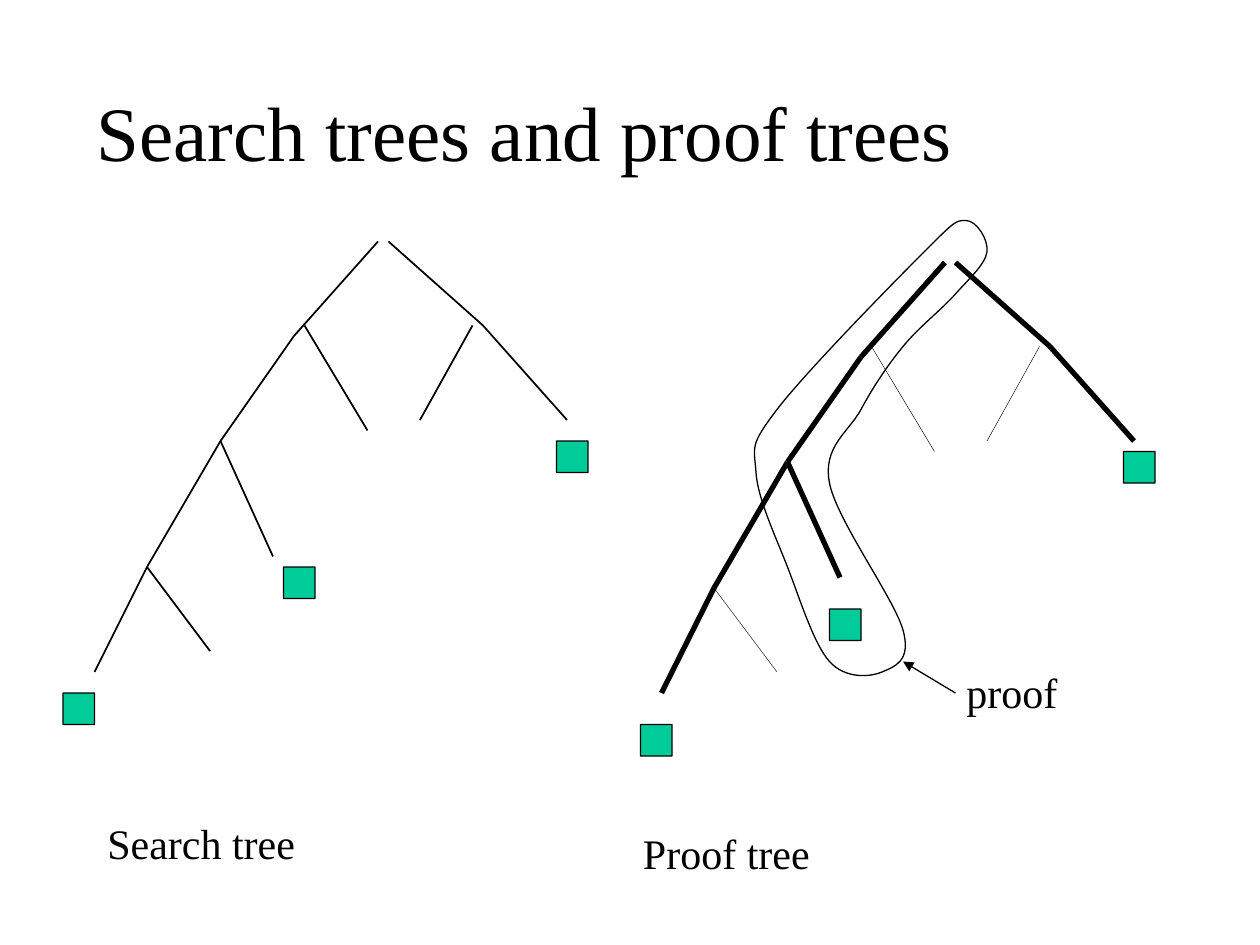
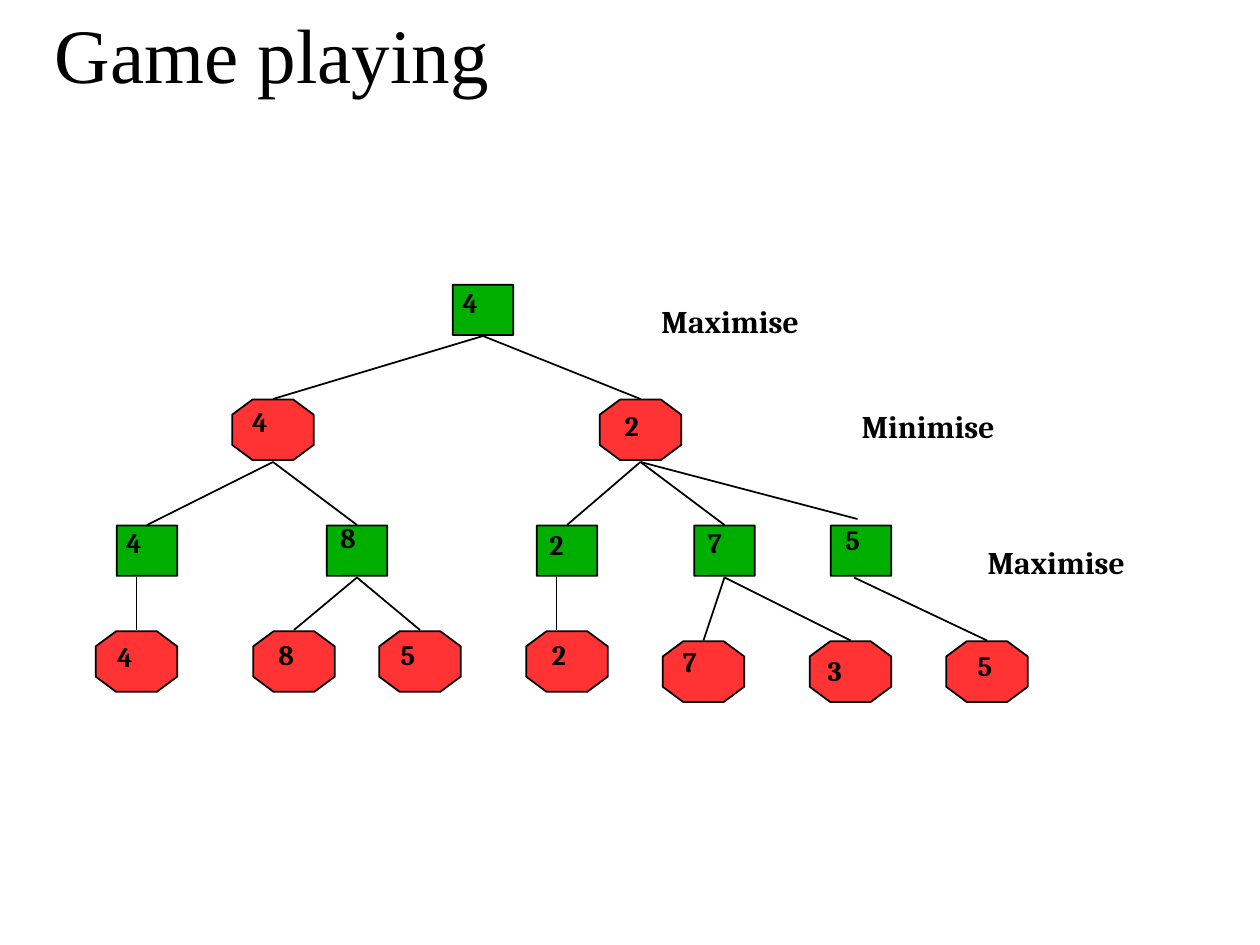
from dataclasses import dataclass
from lxml.etree import SubElement
from pptx import Presentation
from pptx.dml.color import RGBColor
from pptx.enum.shapes import MSO_CONNECTOR, MSO_SHAPE
from pptx.enum.text import MSO_ANCHOR
from pptx.oxml.ns import qn
from pptx.util import Pt


@dataclass(frozen=True)
class Theme:
    ink: str = "000000"
    goal: str = "00CC99"
    maximise: str = "00AE00"
    minimise: str = "FF3333"
    serif: str = "Times New Roman"
    label: str = "Cambria"
    title_size: int = 44
    caption_size: int = 24
    level_size: int = 18
    value_size: int = 16
    hairline: float = 0.25
    outline: float = 0.75
    branch: float = 1
    proof_branch: float = 3


theme = Theme()
PAGE_SIZE = (720, 540)

# Text styles
TITLE = dict(name=theme.serif, size=theme.title_size, spacing=0.85)
CAPTION = dict(name=theme.serif, size=theme.caption_size, spacing=0.85)
LEVEL = dict(name=theme.label, size=theme.level_size, spacing=0.51, bold=True)
VALUE = dict(name=theme.label, size=theme.value_size, spacing=0.51, bold=True)

# Search trees: (start, end, leads to a goal)
BRANCHES = [
    ((216, 138), (168, 192), True),
    ((168, 192), (126, 252), True),
    ((174, 186), (210, 246), False),
    ((222, 138), (276, 186), True),
    ((270, 186), (240, 240), False),
    ((276, 186), (324, 240), True),
    ((126, 252), (84, 324), True),
    ((126, 252), (156, 318), True),
    ((84, 324), (54, 384), True),
    ((84, 324), (120, 372), False),
]
PROOF_SHIFT = (324, 12)
GOAL_SIZE = 18
GOALS = [(36, 396), (162, 324), (318, 252), (642, 258), (474, 348), (366, 414)]
TREE_CAPTIONS = [
    ("proof", (550.8, 381.6, 66, 36)),
    ("Search tree", (60, 468, 222, 36)),
    ("Proof tree", (366, 474, 240, 36)),
]
PROOF_ARROW = ((546, 396), (516, 378))

# Start point, then two control points and an end point for each curve
PROOF_OUTLINE = [
    (528, 144),
    (510, 162), (460, 213), (444, 234),
    (428, 255), (431, 255), (432, 270),
    (433, 285), (443, 306), (450, 324),
    (457, 342), (465, 368), (474, 378),
    (483, 388), (497, 387), (504, 384),
    (511, 381), (521, 378), (516, 360),
    (511, 342), (478, 297), (474, 276),
    (470, 255), (485, 247), (492, 234),
    (499, 221), (507, 209), (516, 198),
    (525, 187), (538, 177), (546, 168),
    (554, 159), (563, 151), (564, 144),
    (565, 137), (558, 126), (552, 126),
    (546, 126), (546, 126), (528, 144),
]

# Game tree: (value, node centre, node top, value left, value top)
MAX_SIZE = (34.6, 28.8)
MIN_SIZE = (46.6, 34.6)
VALUE_SIZE = (22.3, 26.6)
MAX_NODES = [
    ("4", 276, 162.7, 262.8, 162.7),
    ("4", 84, 300.3, 70.6, 300.2),
    ("8", 204, 300.3, 193, 297.4),
    ("2", 324, 300.3, 312.5, 301),
    ("7", 414, 300.3, 403.2, 300.2),
    ("5", 492, 300.3, 481.7, 298.1),
]
MIN_NODES = [
    ("4", 156, 228.3, 142.6, 231.1),
    ("2", 366, 228.3, 355.6, 233.3),
    ("4", 78, 360.7, 65.5, 365),
    ("8", 168, 360.7, 157.7, 364.3),
    ("5", 240, 360.7, 227.5, 364.3),
    ("2", 324, 360.7, 313.9, 364.3),
    ("7", 402, 366.5, 388.8, 367.9),
    ("3", 486, 366.5, 471.6, 373),
    ("5", 564, 366.5, 557.3, 370.1),
]
MOVES = {
    (276, 192): [(156, 228), (366, 228)],
    (156, 264): [(84, 300), (204, 300)],
    (366, 264): [(324, 300), (414, 300), (490, 296.6)],
    (78, 330): [(78, 360)],
    (204, 330): [(168, 360), (240, 360)],
    (318, 330): [(318, 360)],
    (414, 330): [(402, 366), (486, 366)],
    (488, 330): [(564, 366)],
}
LEVELS = [
    ("Maximise", (376.6, 173.5, 89.3, 28.1)),
    ("Maximise", (563, 311, 89.3, 28.1)),
    ("Minimise", (491, 233.3, 85.7, 28.1)),
]


def points(values):
    return [Pt(value) for value in values]


def apply_formats(target, formats):
    for name, value in formats.items():
        setattr(target, name, value)


def add_text(page, text, bounds, style, anchor=MSO_ANCHOR.TOP, top_inset=3.6):
    box = page.shapes.add_textbox(*points(bounds))
    frame = box.text_frame
    apply_formats(frame, dict(
        word_wrap=True, vertical_anchor=anchor,
        margin_left=Pt(1.4), margin_right=Pt(1.4),
        margin_top=Pt(top_inset), margin_bottom=Pt(3.6)))
    para = frame.paragraphs[0]
    para.line_spacing = style["spacing"]
    span = para.add_run()
    span.text = text
    apply_formats(span.font, dict(
        name=style["name"], size=Pt(style["size"]), bold=style.get("bold", False)))
    span.font.color.rgb = RGBColor.from_string(theme.ink)


def paint(shape, fill, width):
    shape.shadow.inherit = False
    if fill:
        shape.fill.solid()
        shape.fill.fore_color.rgb = RGBColor.from_string(fill)
    else:
        shape.fill.background()
    shape.line.color.rgb = RGBColor.from_string(theme.ink)
    shape.line.width = Pt(width)


def add_line(page, start, end, width, arrow=False):
    line = page.shapes.add_connector(MSO_CONNECTOR.STRAIGHT, *points(start + end))
    line.line.color.rgb = RGBColor.from_string(theme.ink)
    line.line.width = Pt(width)
    if arrow:
        SubElement(line.line._get_or_add_ln(), qn("a:tailEnd"), type="triangle")
    SubElement(line._element.spPr, qn("a:effectLst"))


def add_square(page, bounds, fill, width):
    square = page.shapes.add_shape(MSO_SHAPE.ROUNDED_RECTANGLE, *points(bounds))
    square.adjustments[0] = 0.01
    paint(square, fill, width)


def add_outline(page, corners, fill, width):
    start, *rest = [points(corner) for corner in corners]
    builder = page.shapes.build_freeform(*start)
    builder.add_line_segments(rest, close=True)
    shape = builder.convert_to_shape()
    paint(shape, fill, width)
    return shape


def add_octagon(page, bounds, fill, width):
    left, top, wide, high = bounds
    corners = [(0, 0.25), (0.25, 0), (0.75, 0), (1, 0.25),
               (1, 0.75), (0.75, 1), (0.25, 1), (0, 0.75)]
    add_outline(page, [(left + x * wide, top + y * high) for x, y in corners],
                fill, width)


def add_curve(page, knots, width):
    """Turn every three straight segments into one cubic curve."""
    shape = add_outline(page, knots, None, width)
    segments = list(shape._element.iter(qn("a:lnTo")))[:len(knots) - 1]
    for first in range(0, len(segments), 3):
        lead, *others = segments[first:first + 3]
        curve = lead.makeelement(qn("a:cubicBezTo"))
        lead.addprevious(curve)
        for segment in (lead, *others):
            curve.append(segment[0])
            segment.getparent().remove(segment)


def add_nodes(page, nodes, size, draw, fill):
    for value, centre, top, value_left, value_top in nodes:
        draw(page, (centre - size[0] / 2, top, *size), fill, theme.branch)
        add_text(page, value, (value_left, value_top, *VALUE_SIZE), VALUE,
                 MSO_ANCHOR.MIDDLE)


def build_search_trees(page):
    add_text(page, "Search trees and proof trees", (54, 48, 612, 111), TITLE,
             top_inset=8.6)
    # Search tree, then the same tree with its proof branches
    for start, end, _ in BRANCHES:
        add_line(page, start, end, theme.branch)
    shift_x, shift_y = PROOF_SHIFT
    for start, end, proves in BRANCHES:
        start, end = [(x + shift_x, y + shift_y) for x, y in (start, end)]
        add_line(page, start, end, theme.proof_branch if proves else theme.hairline)
    # Goals
    for left, top in GOALS:
        add_square(page, (left, top, GOAL_SIZE, GOAL_SIZE), theme.goal, theme.outline)
    # Proof outline and captions
    add_curve(page, PROOF_OUTLINE, theme.outline)
    add_line(page, *PROOF_ARROW, theme.outline, arrow=True)
    for text, bounds in TREE_CAPTIONS:
        add_text(page, text, bounds, CAPTION)


def build_game(page):
    add_text(page, "Game playing", (30, 2.2, 618, 58.3), TITLE, MSO_ANCHOR.BOTTOM)
    # Nodes
    add_nodes(page, MAX_NODES, MAX_SIZE, add_square, theme.maximise)
    add_nodes(page, MIN_NODES, MIN_SIZE, add_octagon, theme.minimise)
    # Moves and level names
    for start, ends in MOVES.items():
        for end in ends:
            add_line(page, start, end, theme.branch)
    for text, bounds in LEVELS:
        add_text(page, text, bounds, LEVEL, MSO_ANCHOR.MIDDLE)


def main():
    deck = Presentation()
    deck.slide_width, deck.slide_height = points(PAGE_SIZE)
    for build in (build_search_trees, build_game):
        build(deck.slides.add_slide(deck.slide_layouts[6]))
    deck.save("out.pptx")


if __name__ == "__main__":
    main()
